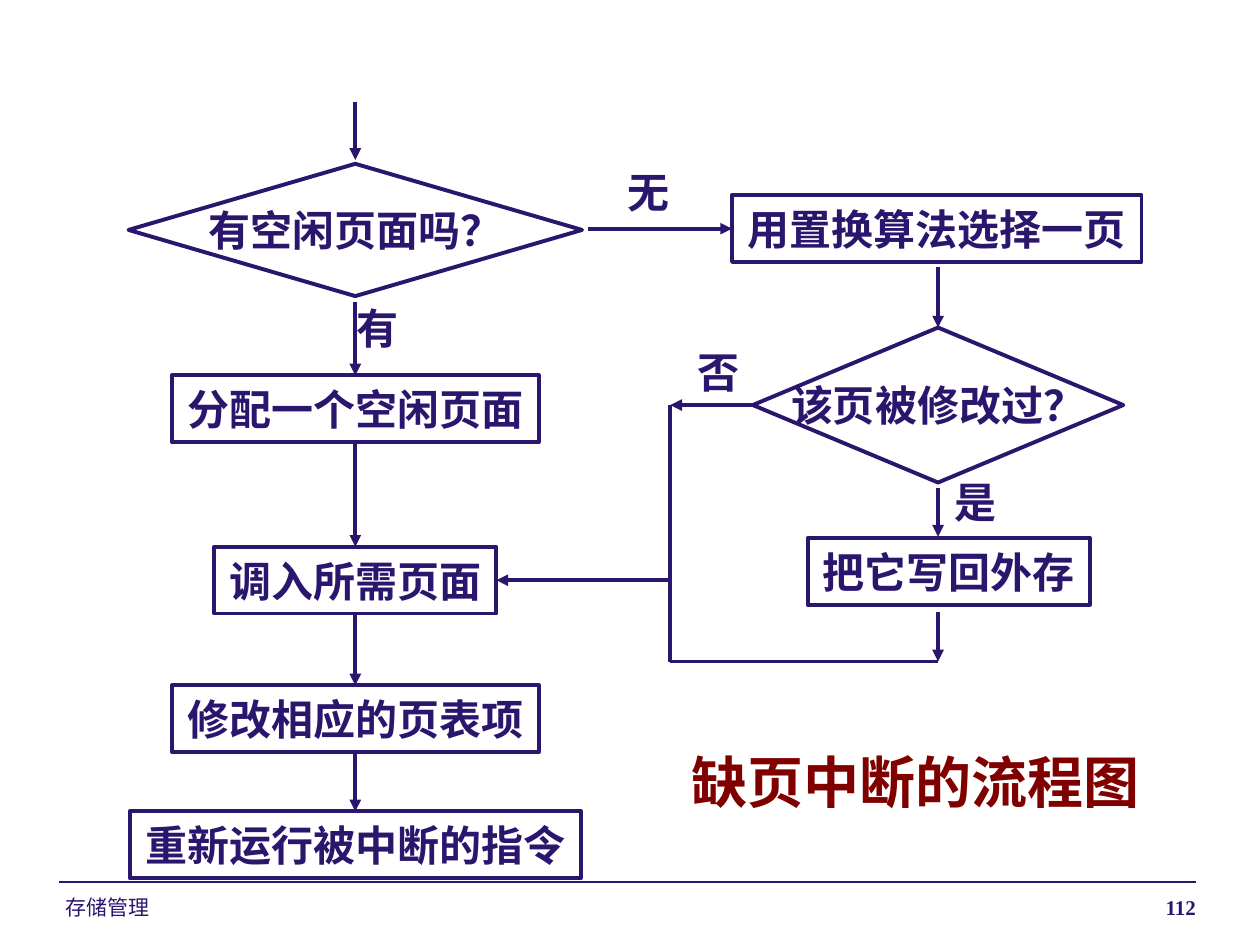
import pptx
import pptx.util
import pptx.dml.color
import pptx.enum.shapes
import pptx.enum.text
import pptx.oxml
import pptx.oxml.ns

Inches = pptx.util.Inches
Pt = pptx.util.Pt
SHAPE = pptx.enum.shapes.MSO_SHAPE
ALIGN = pptx.enum.text.PP_ALIGN
ANCHOR = pptx.enum.text.MSO_ANCHOR
AUTO = pptx.enum.text.MSO_AUTO_SIZE

INK, RED = "2B166E", "800000"
CJK, SERIF = "Noto Sans CJK SC", "Times New Roman"
TOP, LEFT, BOTTOM, RIGHT = range(4)
BOX_H = 0.53


def rgb(color):
    return pptx.dml.color.RGBColor.from_string(color)


def add_xml(parent, tag, **attrs):
    el = pptx.oxml.parse_xml(f"<a:{tag} {pptx.oxml.ns.nsdecls('a')}/>")
    for name, value in attrs.items():
        el.set(name, value)
    parent.append(el)


def write(sp, text, align=ALIGN.CENTER, anchor=ANCHOR.MIDDLE, color=INK, **font):
    tf = sp.text_frame
    frame = {"word_wrap": False, "auto_size": AUTO.NONE, "vertical_anchor": anchor}
    for name, value in frame.items():
        setattr(tf, name, value)
    p = tf.paragraphs[0]
    p.alignment = align
    r = p.add_run()
    r.text = text
    for name, value in {"size": Pt(24), "bold": True, "name": CJK, **font}.items():
        setattr(r.font, name, value)
    r.font.color.rgb = rgb(color)
    add_xml(r.font._element, "ea", typeface=CJK)


def add_node(s, text, x, y, w, h=BOX_H, kind=SHAPE.RECTANGLE):
    sp = s.shapes.add_shape(kind, Inches(x), Inches(y), Inches(w), Inches(h))
    sp.shadow.inherit = False
    sp.fill.background()
    sp.line.color.rgb = rgb(INK)
    sp.line.width = Pt(2.25)
    write(sp, text)
    return sp


def add_text(s, text, x, y, w=0.54, h=0.5, **style):
    sp = s.shapes.add_textbox(Inches(x), Inches(y), Inches(w), Inches(h))
    write(sp, text, **style)


def add_line(s, start, end, arrow=True, width=2.25):
    """Each end is an (x, y) point in inches or a (shape, side) pair."""
    points = [(0, 0) if hasattr(e[0], "shape_id") else e for e in (start, end)]
    ends = [Inches(v) for point in points for v in point]
    cx = s.shapes.add_connector(pptx.enum.shapes.MSO_CONNECTOR.STRAIGHT, *ends)
    for (target, side), join in ((start, cx.begin_connect), (end, cx.end_connect)):
        if hasattr(target, "shape_id"):
            join(target, side)
    cx.line.color.rgb = rgb(INK)
    cx.line.width = Pt(width)
    if arrow:
        add_xml(cx.line._get_or_add_ln(), "tailEnd", type="triangle")
    add_xml(cx._element.spPr, "effectLst")


def add_main_flow(s, x, y, w):
    """Left column, centred in width w; returns the page loading step."""
    mid = x + w / 2
    check = add_node(s, "有空闲页面吗？", x, y + 0.49, w, 1.05, SHAPE.FLOWCHART_DECISION)
    add_line(s, (mid, y), (mid, y + 0.46))
    steps = [
        add_node(s, text, mid - step_w / 2, y + dy, step_w)
        for text, dy, step_w in (
            ("分配一个空闲页面", 2.17, 2.91),
            ("调入所需页面", 3.53, 2.24),
            ("修改相应的页表项", 4.63, 2.91),
            ("重新运行被中断的指令", 5.63, 3.58),
        )
    ]
    add_line(s, (mid, y + 1.59), (steps[0], TOP))
    for above, below in zip(steps, steps[1:]):
        add_line(s, (above, BOTTOM), (below, TOP))
    add_text(s, "有", mid - 0.09, y + 1.54)
    return steps[1]


def add_replacement_flow(s, x, y, w, load):
    """Right column, with its return path to the load step."""
    mid, back, end_y = x + w / 2 + 0.01, x - 0.49, y + 3.7
    select = add_node(s, "用置换算法选择一页", x, y, w)
    changed = add_node(s, "该页被修改过？", mid - 1.47, y + 1.05, 2.94, 1.23,
                       SHAPE.FLOWCHART_DECISION)
    add_node(s, "把它写回外存", x + 0.6, y + 2.72, 2.24)

    add_line(s, (x - 1.14, y + BOX_H / 2), (select, LEFT))
    add_line(s, (mid, y + 0.57), (changed, TOP))
    add_line(s, (mid, y + 2.32), (mid, y + 2.71))
    add_line(s, (mid, y + 3.31), (mid, end_y))

    turn_y = y + 1.05 + 1.23 / 2
    load_y = (load.top + load.height / 2) / Inches(1)
    add_line(s, (changed, LEFT), (back, turn_y))
    add_line(s, (back, turn_y), (back, end_y), arrow=False)
    add_line(s, (mid, end_y), (back, end_y), arrow=False)
    add_line(s, (back, load_y), (load, RIGHT))

    for text, dx, dy in (("无", -0.93, -0.28), ("否", -0.38, 1.15), ("是", 1.66, 2.18)):
        add_text(s, text, x + dx, y + dy)


def add_title(s, x, y, w, h):
    sp = s.shapes.title
    box = {"left": x, "top": y, "width": w, "height": h}
    for name, value in box.items():
        setattr(sp, name, Inches(value))
    write(sp, "缺页中断的流程图", ALIGN.LEFT, ANCHOR.TOP, RED, size=Pt(32), name=SERIF)


def add_footer(s, x, y, w):
    add_line(s, (x, y), (x + w, y), arrow=False, width=0.75)
    style = {"h": 0.24, "anchor": ANCHOR.TOP, "size": Pt(12)}
    add_text(s, "存储管理", x - 0.05, y + 0.05, 2.33, align=ALIGN.LEFT,
             bold=False, name="Arial", **style)
    add_text(s, "112", x + w - 3.07, y + 0.05, 3.17, align=ALIGN.RIGHT,
             name=SERIF, **style)


def main():
    prs = pptx.Presentation()
    prs.slide_width, prs.slide_height = Inches(10), Inches(7.5)
    s = prs.slides.add_slide(prs.slide_layouts[5])
    add_footer(s, 0.47, 7, 9.02)
    load = add_main_flow(s, 1.02, 0.81, 3.6)
    add_replacement_flow(s, 5.81, 1.55, 3.25, load)
    add_title(s, 5.39, 5.88, 3.77, 0.63)
    prs.save("out.pptx")


if __name__ == "__main__":
    main()
